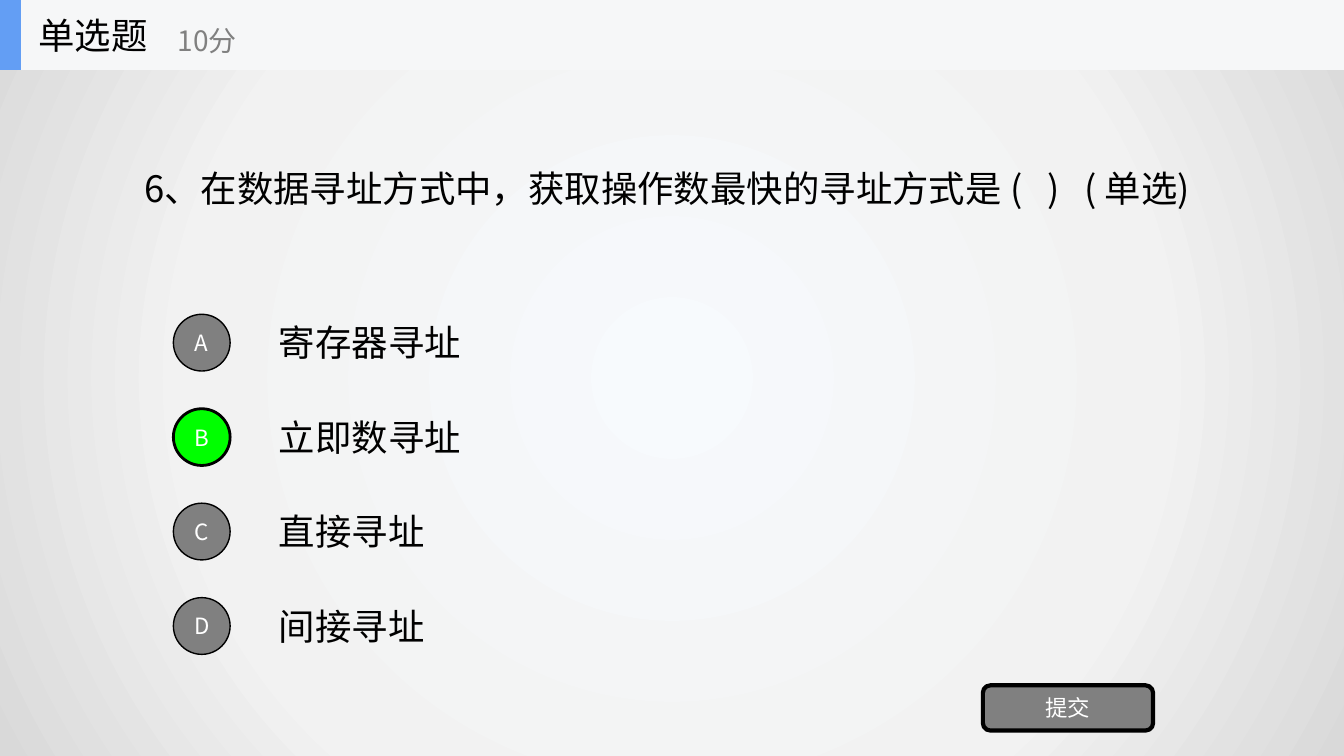
from lxml.etree import SubElement
from pptx import Presentation
from pptx.dml.color import RGBColor as Rgb
from pptx.enum.shapes import MSO_SHAPE as Kind
from pptx.enum.text import MSO_ANCHOR as Anchor, MSO_AUTO_SIZE as Fit, PP_ALIGN as Align
from pptx.oxml import parse_xml
from pptx.oxml.ns import nsdecls, qn
from pptx.util import Cm, Pt

FONT = "Noto Sans CJK SC"
HUES = {
    "black": "000000", "white": "FFFFFF", "gray": "808080", "green": "00FF00",
    "band": "F6F7F8", "blue": "639EF4",
    "core": "F7FAFD", "mid": "F2F2F2", "edge": "D9D9D9",
}
STOPS = [(0, "core"), (63, "mid"), (100, "edge")]
CHOICES = ["寄存器寻址", "立即数寻址", "直接寻址", "间接寻址"]
RIGHT = "B"


def hue(name):
    """Return the named colour."""
    return Rgb.from_string(HUES[name])


def write(shape, text, size=26, color="black", align=Align.LEFT):
    """Put one formatted line of text in a shape."""
    frame = shape.text_frame
    frame.word_wrap = True
    frame.auto_size = Fit.NONE
    frame.vertical_anchor = Anchor.MIDDLE
    para = frame.paragraphs[0]
    para.alignment = align
    run = para.add_run()
    run.text = text
    font = run.font
    font.size = Pt(size)
    font.color.rgb = hue(color)
    font.name = FONT
    SubElement(run._r.get_or_add_rPr(), qn("a:ea"), typeface=FONT)


def label(slide, text, box, **style):
    """Add a text box, with its box given in centimetres."""
    write(slide.shapes.add_textbox(*map(Cm, box)), text, **style)


def block(slide, kind, box, fill, line=0, text=""):
    """Add a filled shape, outlined and captioned on request."""
    shape = slide.shapes.add_shape(kind, *map(Cm, box))
    shape.shadow.inherit = False
    shape.fill.solid()
    shape.fill.fore_color.rgb = hue(fill)
    if line:
        shape.line.color.rgb = hue("black")
        shape.line.width = Pt(line)
    else:
        shape.line.fill.background()
    if text:
        write(shape, text, size=16, color="white", align=Align.CENTER)


def backdrop(slide):
    """Fill the background with a round gradient."""
    stops = "".join(
        f'<a:gs pos="{pos * 1000}"><a:srgbClr val="{HUES[name]}"/></a:gs>'
        for pos, name in STOPS
    )
    grad = parse_xml(
        f'<a:gradFill {nsdecls("a")} rotWithShape="1"><a:gsLst>{stops}</a:gsLst>'
        '<a:path path="circle">'
        '<a:fillToRect l="50000" t="50000" r="50000" b="50000"/>'
        '</a:path></a:gradFill>'
    )
    fill = slide.background.fill
    fill.solid()
    solid = slide.element.find(".//" + qn("p:bgPr")).find(qn("a:solidFill"))
    solid.getparent().replace(solid, grad)


def header(slide):
    """Draw the top band with the title and the score."""
    block(slide, Kind.RECTANGLE, (0, 0, 33.87, 1.76), "band")
    block(slide, Kind.RECTANGLE, (0, 0, 0.53, 1.76), "blue")
    title = slide.shapes.title
    title.left, title.top, title.width, title.height = map(Cm, (0.71, 0, 5.29, 1.76))
    write(title, "单选题")
    slide.shapes._spTree.append(title._element)
    label(slide, "10分", (4.23, 0.3, 6.35, 1.43), size=20, color="gray")


def choice(slide, row, text):
    """Draw one answer with its lettered disc."""
    mark = "ABCD"[row]
    top = 7.92 + 2.38 * row
    fill, line = ("green", 2) if mark == RIGHT else ("gray", 1)
    label(slide, text, (6.78, top + 0.03, 0.91 * len(text) + 0.81, 1.35))
    block(slide, Kind.OVAL, (4.37, top, 1.43, 1.43), fill, line, mark)


def main():
    """Build and save the quiz slide."""
    deck = Presentation()
    deck.slide_width, deck.slide_height = Cm(33.87), Cm(19.05)
    slide = deck.slides.add_slide(deck.slide_layouts.get_by_name("Title Only"))
    backdrop(slide)
    label(slide, "6、在数据寻址方式中，获取操作数最快的寻址方式是 (   )   ( 单选)",
          (3.38, 4.06, 28.6, 1.37))
    for row, text in enumerate(CHOICES):
        choice(slide, row, text)
    block(slide, Kind.ROUNDED_RECTANGLE, (24.77, 17.27, 4.29, 1.14), "gray", 3, "提交")
    header(slide)
    deck.save("out.pptx")


if __name__ == "__main__":
    main()
